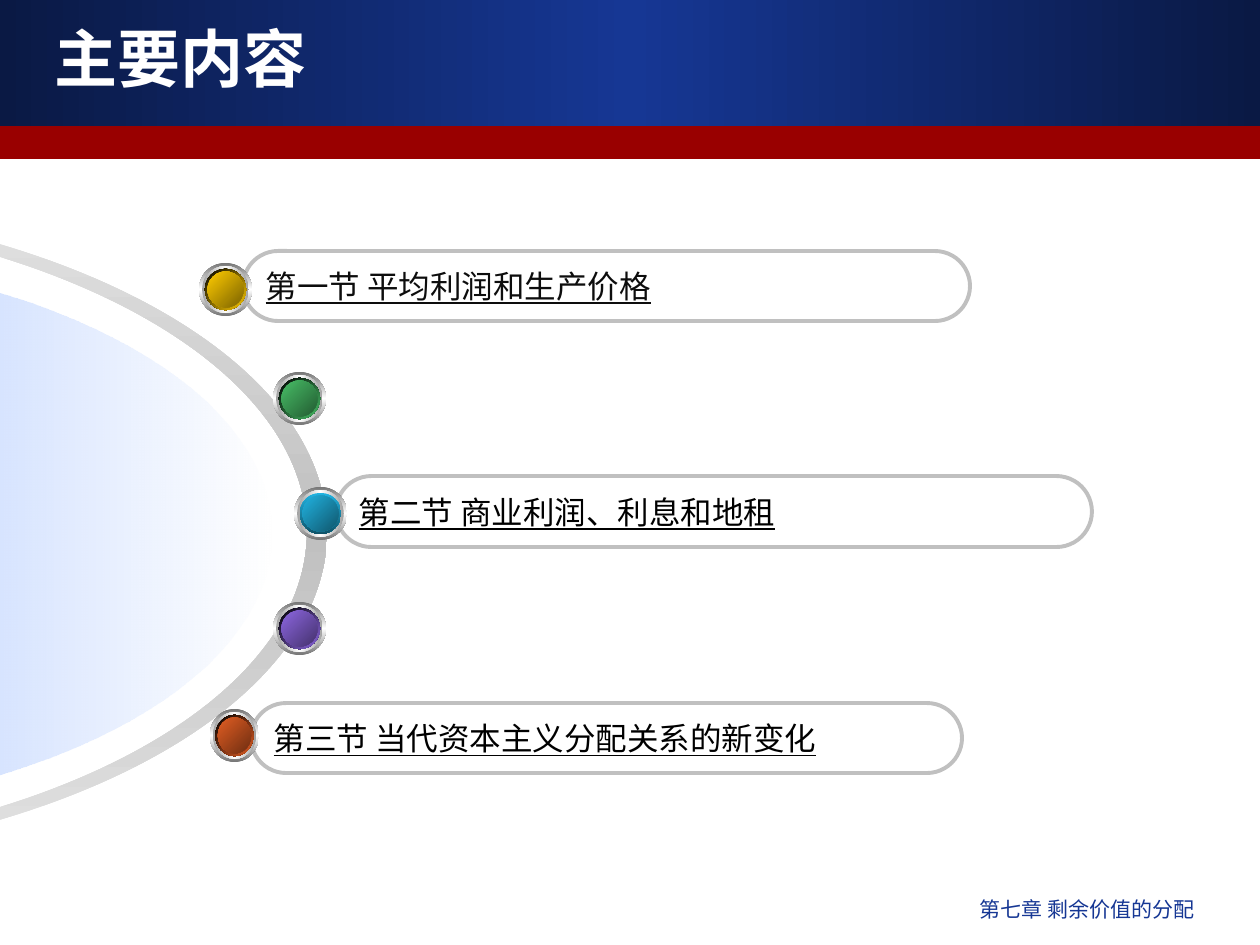
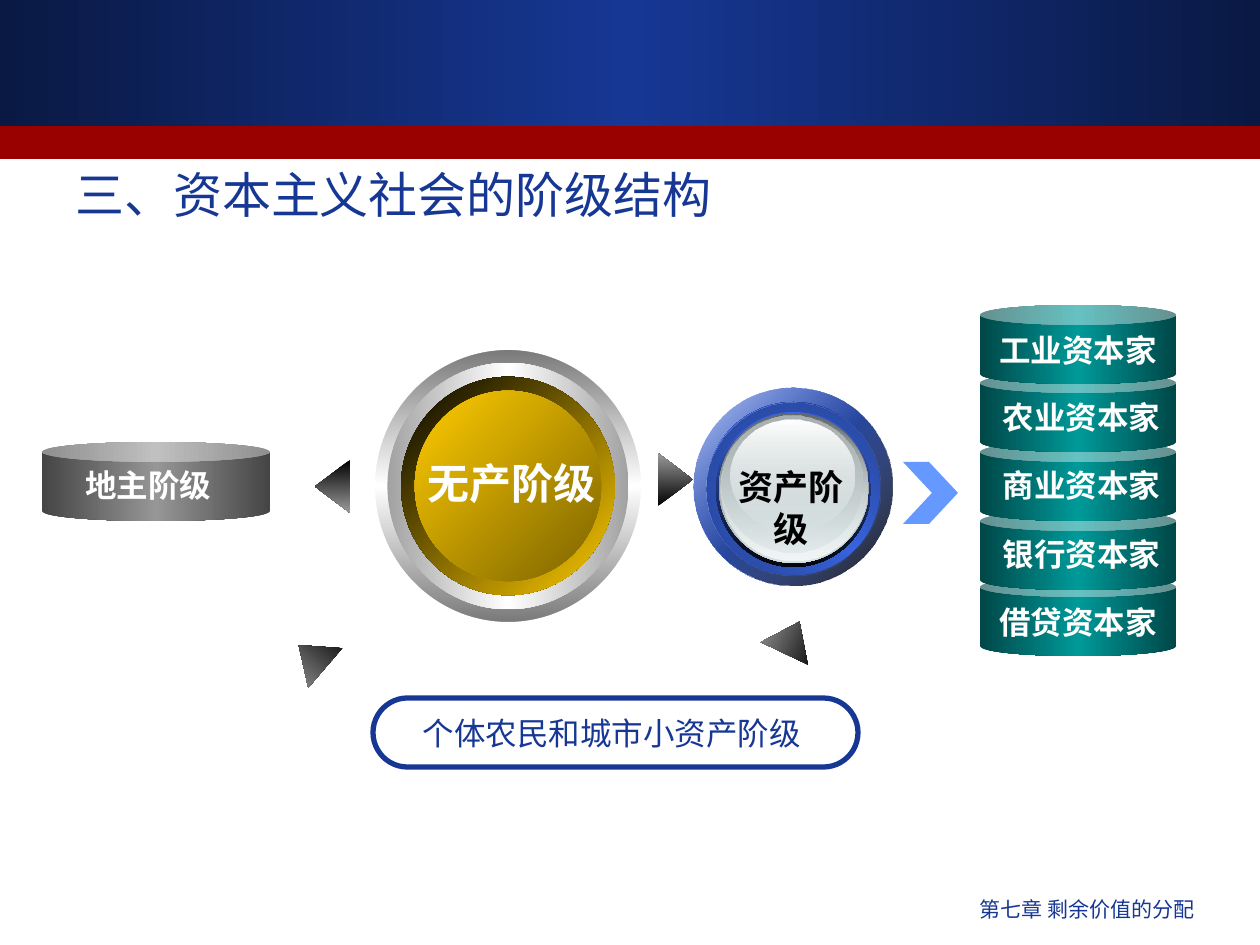
from lxml.etree import Element, SubElement
from pptx import Presentation
from pptx.dml.color import RGBColor
from pptx.enum.shapes import MSO_SHAPE
from pptx.enum.text import MSO_ANCHOR, MSO_AUTO_SIZE, PP_ALIGN
from pptx.oxml.ns import qn
from pptx.util import Emu, Pt

EMU_PER_PX = 914400 / 126
CJK_FONT = "Noto Sans CJK SC"
ARC = 0.55  # Bézier handle length of a quarter ellipse

COLOURS = {
    "navy": "163794", "night": "0A1944", "red": "990000", "white": "FFFFFF",
    "black": "000000", "ink": "0D0D0D", "silver": "C0C0C0", "pale": "E2E2E2",
    "steel": "767676", "chrome": "A2A2A2", "sky": "6699FF",
    "gold": "FFCC00", "bronze": "7C6300", "green": "48BE67", "forest": "235C32",
    "cyan": "21B3E1", "lagoon": "10576D", "deep": "0F5368",
    "violet": "8D67E1", "plum": "45326D", "orange": "E35E23", "rust": "6E2E11",
    "coal": "454545", "ash": "969696", "arrow": "9B9B9B",
    "pine": "004747", "teal": "009999",
    "royal": "3965E1", "cobalt": "1F377A", "marine": "264396", "abyss": "03060D",
    "slate": "636869", "mist": "D6E1E2", "frost": "F1F5F5", "fog": "AAB2B3",
}

FOOTER = "第七章 剩余价值的分配"

# Slide 1
CONTENTS_TITLE = "主要内容"
SECTIONS = [  # text with an en space as gap, colour, box
    ("第三节 当代资本主义分配关系的新变化", "black", (251, 703, 711, 70)),
    ("第二节 商业利润、利息和地租", "black", (336, 476, 756, 71)),
    ("第一节 平均利润和生产价格", "ink", (243, 251, 727, 70)),
]
KNOBS = [  # box, bright, dark, rim stops, rim angle
    ((199, 263, 53, 53), "gold", "bronze", ("black", "gold"), 45),
    ((273, 372, 53, 53), "green", "forest", ("black", "green"), 45),
    ((294, 487, 53, 53), "cyan", "lagoon", ("cyan", "deep"), 90),
    ((273, 602, 53, 53), "violet", "plum", ("black", "violet"), 45),
    ((210, 709, 49, 53), "orange", "rust", ("black", "orange"), 45),
]
RING_CENTRE, RING_OUTER, RING_INNER = (-330, 532), (657, 333), (637, 322)
DISC_CENTRE, DISC_RADII = (-271, 534), (542, 278)

# Slide 2
STRUCTURE_HEADING = "三、资本主义社会的阶级结构"
WORKERS, OWNERS, LANDLORDS = "无产阶级", "资产阶级", "地主阶级"
SMALL_OWNERS = "个体农民和城市小资产阶级 "
CAPITALISTS = [  # name, top of the can, top of a separate label; bottom can first
    ("借贷资本家", 577, None),
    ("银行资本家", 511, 529),
    ("商业资本家", 442, 460),
    ("农业资本家", 373, 392),
    ("工业资本家", 305, None),
]
ARROWS = [  # box, rotation
    ((766, 620, 52, 35), 25.5),
    ((306, 469, 53, 35), 270),
    ((649, 462, 53, 35), 90),
    ((286, 639, 52, 35), 310.7),
]
CHEVRON = [(903, 462), (929, 462), (958, 493), (929, 524), (903, 524), (932, 493)]
ORB_LAYERS = [  # box, stops (colour or colour with opacity), angle
    ((694, 388, 198, 198), ("white", "royal", "white"), 45),
    ((694, 388, 198, 198), (("royal", 32), ("black", 90)), 45),
    ((707, 402, 173, 173), ("cobalt", "royal", "cobalt"), 315),
    ((707, 403, 173, 173), ("marine", ("royal", 0)), 45),
    ((716, 412, 155, 155), ("royal", "abyss"), 90),
    ((719, 413, 150, 150), ("slate", "mist"), 90),
    ((721, 415, 146, 146), (("mist", 0), "frost"), 90),
    ((722, 416, 140, 137), ("fog", ("mist", 48)), 90),
    ((731, 420, 123, 111), ("white", ("mist", 38)), 90),
]


def px(length):
    return Emu(round(length * EMU_PER_PX))


def rgb(name):
    return RGBColor.from_string(COLOURS[name])


def paint_gradient(shape, stops, angle):
    """Spread the stops evenly; the angle runs clockwise."""
    shape.fill.gradient()
    shape.fill.gradient_angle = (360 - angle) % 360
    stop_list = shape.element.spPr.find(".//" + qn("a:gsLst"))
    stop_list.clear()
    for index, stop in enumerate(stops):
        name, opacity = (stop, 100) if isinstance(stop, str) else stop
        position = index * 100000 // (len(stops) - 1)
        node = SubElement(stop_list, qn("a:gs"), pos=str(position))
        colour = SubElement(node, qn("a:srgbClr"), val=COLOURS[name])
        if opacity < 100:
            SubElement(colour, qn("a:alpha"), val=str(opacity * 1000))


def dress(shape, fill=None, angle=0, line=None):
    """Fill is None, a colour name or a tuple of stops; line is (colour, points)."""
    shape.shadow.inherit = False
    if fill is None:
        shape.fill.background()
    elif isinstance(fill, str):
        shape.fill.solid()
        shape.fill.fore_color.rgb = rgb(fill)
    else:
        paint_gradient(shape, fill, angle)
    if line:
        shape.line.color.rgb = rgb(line[0])
        shape.line.width = Pt(line[1])
    else:
        shape.line.fill.background()
    return shape


def add_preset(page, kind, box, fill=None, angle=0, line=None):
    shape = page.shapes.add_shape(kind, *map(px, box))
    return dress(shape, fill, angle, line)


def add_outline(page, points, fill, angle=0):
    corners = [(px(x), px(y)) for x, y in points]
    builder = page.shapes.build_freeform(*corners[0], scale=1.0)
    builder.add_line_segments(corners[1:], close=True)
    return dress(builder.convert_to_shape(), fill, angle)


def right_half_ellipse(centre, radii):
    """Two Bézier quarters from top to bottom: seven anchors and handles."""
    (x, y), (rx, ry) = centre, radii
    unit = [(0, -1), (ARC, -1), (1, -ARC), (1, 0), (1, ARC), (ARC, 1), (0, 1)]
    return [(x + rx * u, y + ry * v) for u, v in unit]


def add_curved_outline(page, halves, fill, angle=0):
    """Join half ellipses and turn each three line segments of one into a curve."""
    shape = add_outline(page, sum(halves, []), fill, angle)
    lines = shape.element.spPr.findall(".//" + qn("a:lnTo"))
    for half in range(len(halves)):
        for start in (7 * half, 7 * half + 3):
            curve = Element(qn("a:cubicBezTo"))
            lines[start].addprevious(curve)
            for segment in lines[start:start + 3]:
                curve.append(segment[0])
                segment.getparent().remove(segment)


def write(shape, text, size, colour, font=CJK_FONT, align=PP_ALIGN.LEFT,
          anchor=MSO_ANCHOR.MIDDLE, bold=False, underline=False):
    frame = shape.text_frame
    frame.word_wrap = align != PP_ALIGN.CENTER
    frame.vertical_anchor = anchor
    para = frame.paragraphs[0]
    para.alignment = align
    span = para.add_run()
    span.text = text
    span.font.size = Pt(size)
    span.font.bold = bold
    span.font.underline = underline
    span.font.color.rgb = rgb(colour)
    span.font.name = font
    SubElement(span._r.get_or_add_rPr(), qn("a:ea"), typeface=CJK_FONT)
    return para


def add_text(page, box, *args, **style):
    return write(page.shapes.add_textbox(*map(px, box)), *args, **style)


def add_label(page, box, text, size, colour):
    """Bold centred caption whose box grows with its text."""
    label = page.shapes.add_textbox(*map(px, box))
    write(label, text, size, colour, font="Arial", align=PP_ALIGN.CENTER,
          anchor=MSO_ANCHOR.TOP, bold=True)
    label.text_frame.auto_size = MSO_AUTO_SIZE.SHAPE_TO_FIT_TEXT


def add_page(deck):
    """Blank page with the header bands and the footer."""
    page = deck.slides.add_slide(deck.slide_layouts[6])
    add_preset(page, MSO_SHAPE.RECTANGLE, (0, 0, 1260, 126),
               ("night", "navy", "night"))
    add_preset(page, MSO_SHAPE.RECTANGLE, (0, 126, 1260, 33), "red")
    add_text(page, (525, 890, 682, 44), FOOTER, 12, "navy", font="DejaVu Sans",
             align=PP_ALIGN.RIGHT, anchor=MSO_ANCHOR.TOP)
    return page


def add_pill(page, box, fill, line):
    pill = add_preset(page, MSO_SHAPE.ROUNDED_RECTANGLE, box, fill, line=line)
    pill.adjustments[0] = 0.5
    return pill


def add_knob(page, box, bright, dark, rim, rim_angle, line=None):
    """Metal button: concentric ellipses, each inset by a share of the width."""
    left, top, width, height = box
    layers = [
        (0, ("steel", "white", "steel"), 90, line),
        (0.06, ("chrome", "white", "chrome"), 0, None),
        (0.11, rim, rim_angle, None),
        (0.16, (bright, dark), 45, None),
    ]
    for inset, stops, angle, edge in layers:
        dx, dy = inset * width, inset * height
        add_preset(page, MSO_SHAPE.OVAL,
                   (left + dx, top + dy, width - 2 * dx, height - 2 * dy),
                   stops, angle, edge)


def build_contents(deck):
    page = add_page(deck)
    add_text(page, (42, 0, 1166, 114), CONTENTS_TITLE, 36, "white", bold=True)
    ring = [right_half_ellipse(RING_CENTRE, RING_OUTER),
            right_half_ellipse(RING_CENTRE, RING_INNER)[::-1]]
    add_curved_outline(page, ring, ("pale", "silver", "pale"), 90)
    add_curved_outline(page, [right_half_ellipse(DISC_CENTRE, DISC_RADII)],
                       (("sky", 56), ("white", 48)))
    for text, colour, box in SECTIONS:
        pill = add_pill(page, box, None, ("silver", 2.25))
        write(pill, text, 18, colour, underline=True)
    for knob in KNOBS:
        add_knob(page, *knob)


def build_structure(deck):
    page = add_page(deck)
    heading = add_text(page, (63, 158, 1134, 723), STRUCTURE_HEADING, 28, "navy",
                       anchor=MSO_ANCHOR.TOP)
    heading.space_before = Pt(7)

    for box, rotation in ARROWS:
        arrow = add_preset(page, MSO_SHAPE.UP_ARROW, box, ("black", "arrow"))
        arrow.adjustments[0], arrow.adjustments[1] = 0.52, 1
        arrow.rotation = rotation
        arrow.element.spPr.find(qn("a:xfrm")).set("flipH", "1")

    add_knob(page, (371, 346, 274, 280), "gold", "bronze", ("black", "gold"), 45,
             ("white", 4.5))
    add_label(page, (415, 451, 193, 63), WORKERS, 24, "white")

    pill = add_pill(page, (373, 698, 485, 69), "white", ("navy", 3))
    write(pill, SMALL_OWNERS, 18, "navy", align=PP_ALIGN.CENTER)

    add_preset(page, MSO_SHAPE.CAN, (42, 442, 228, 79), ("coal", "ash", "coal"))
    add_label(page, (73, 460, 151, 50), LANDLORDS, 18, "white")

    for name, top, label_top in CAPITALISTS:
        can = add_preset(page, MSO_SHAPE.CAN, (980, top, 196, 79),
                         ("pine", "teal", "pine"))
        if label_top:
            add_label(page, (990, label_top, 183, 50), name, 18, "white")
        else:
            write(can, name, 18, "white", font="Arial", align=PP_ALIGN.CENTER,
                  bold=True)

    for box, stops, angle in ORB_LAYERS:
        add_preset(page, MSO_SHAPE.OVAL, box, stops, angle)
    add_label(page, (709, 459, 165, 55), OWNERS, 20, "black")
    add_outline(page, CHEVRON, "sky")


def main():
    deck = Presentation()
    deck.slide_width, deck.slide_height = px(1260), px(945)
    build_contents(deck)
    build_structure(deck)
    deck.save("out.pptx")


if __name__ == "__main__":
    main()
